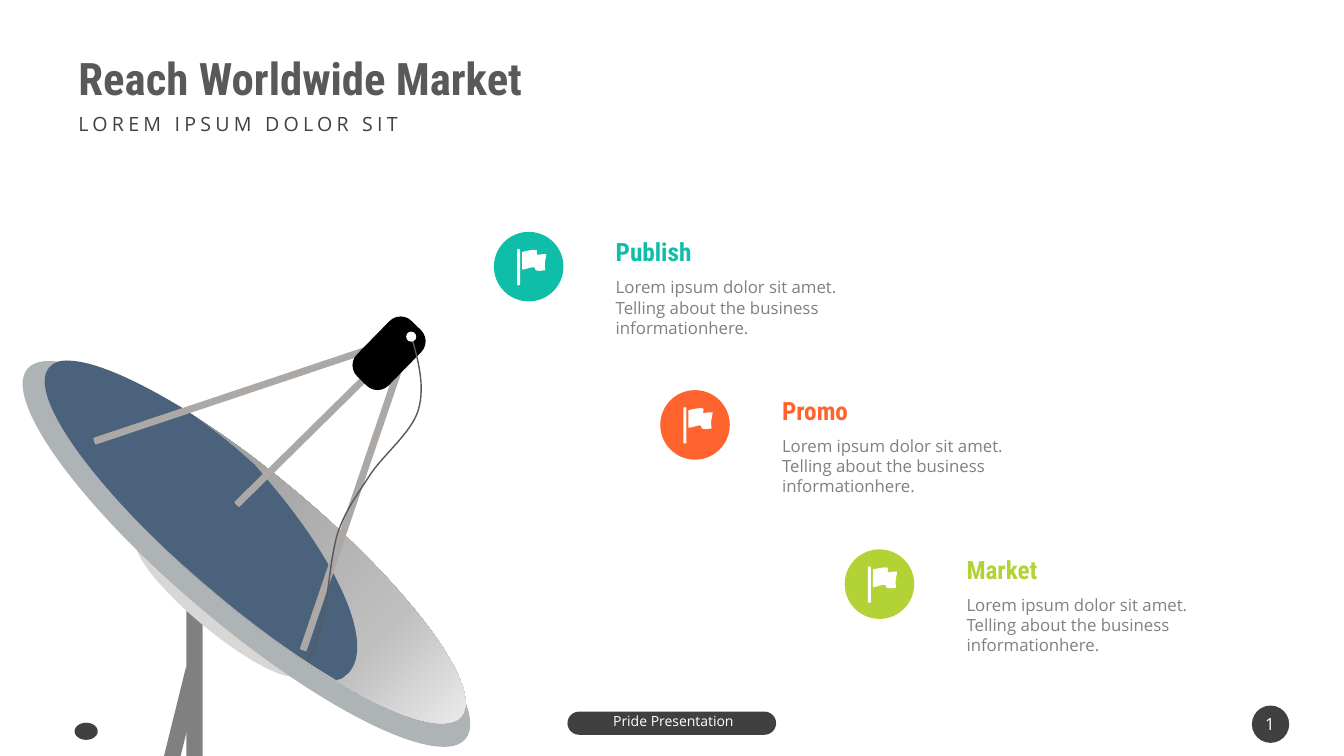
from math import cos, radians, sin

from lxml import etree
from pptx import Presentation
from pptx.dml.color import RGBColor
from pptx.enum.shapes import MSO_SHAPE
from pptx.enum.text import MSO_ANCHOR, PP_ALIGN
from pptx.oxml import parse_xml
from pptx.oxml.ns import nsdecls, qn
from pptx.util import Inches, Pt

OVAL, PILL = MSO_SHAPE.OVAL, MSO_SHAPE.ROUNDED_RECTANGLE
LEFT, CENTER = PP_ALIGN.LEFT, PP_ALIGN.CENTER
TOP, MIDDLE = MSO_ANCHOR.TOP, MSO_ANCHOR.MIDDLE

HEAD_FONT, TEXT_FONT = "Roboto Condensed", "Open Sans"
THEME = {
    "colors": {
        "title": "595959", "dark": "404040", "muted": "808080", "white": "FFFFFF",
        "teal": "0EBEA9", "orange": "FF642E", "lime": "B2D235",
        "bowl": "D8D7D6", "rim": "AEB3B5", "dish": "4B627C", "strut": "ABA8A5",
        "receiver": "000000", "cable": "595959",
    },
    "type": {
        "title": {"name": HEAD_FONT, "size": Pt(32), "bold": True},
        "subtitle": {"name": TEXT_FONT, "size": Pt(14)},
        "heading": {"name": HEAD_FONT, "size": Pt(18), "bold": True},
        "body": {"name": TEXT_FONT, "size": Pt(12)},
        "footer": {"name": TEXT_FONT, "size": Pt(10)},
    },
}
COLORS = {name: RGBColor.from_string(code) for name, code in THEME["colors"].items()}

# The page is a grid of 13 1/3 columns by 7.5 rows
COLUMNS, ROWS = 40 / 3, 7.5
deck = Presentation()
deck.slide_width, deck.slide_height = Inches(COLUMNS), Inches(ROWS)
COLUMN, ROW = deck.slide_width / COLUMNS, deck.slide_height / ROWS
page = deck.slides.add_slide(deck.slide_layouts[6])


def add_preset(kind, place, color, rotation=0, rounding=None):
    """Add a flat preset shape; place is left, top, width, height in grid units."""
    units = (COLUMN, ROW, COLUMN, ROW)
    shape = page.shapes.add_shape(kind, *(round(n * unit) for n, unit in zip(place, units)))
    shape.shadow.inherit = False
    shape.rotation = rotation
    shape.fill.solid()
    shape.fill.fore_color.rgb = COLORS[color]
    shape.line.fill.background()
    if rounding is not None:
        shape.adjustments[0] = rounding
    return shape


def add_outline(start, segments, color, origin=(0, 0), closed=True, tilt=0, pivot=(0, 0)):
    """Add lines (x, y) and cubic curves (six numbers), in a frame tilted about pivot."""
    turn = radians(-tilt)
    runs = []
    for segment in [start, *segments]:
        run = []
        for x, y in zip(segment[::2], segment[1::2]):
            dx, dy = x - pivot[0], y - pivot[1]
            x = pivot[0] + dx * cos(turn) - dy * sin(turn) + origin[0]
            y = pivot[1] + dx * sin(turn) + dy * cos(turn) + origin[1]
            run.append((round(x * COLUMN), round(y * ROW)))
        runs.append(run)
    builder = page.shapes.build_freeform(*runs[0][0])
    builder.add_line_segments([run[-1] for run in runs[1:]], close=closed)
    shape = builder.convert_to_shape()
    lines = list(shape.element.spPr.iter(qn("a:lnTo")))
    for line, run in zip(lines, runs[1:]):
        if len(run) == 3:
            curve = etree.Element(qn("a:cubicBezTo"))
            for x, y in run:
                etree.SubElement(curve, qn("a:pt"), x=str(x - shape.left), y=str(y - shape.top))
            line.getparent().replace(line, curve)
    shape.rotation = tilt
    shape.shadow.inherit = False
    if closed:
        shape.fill.solid()
        shape.fill.fore_color.rgb = COLORS[color]
        shape.line.fill.background()
    else:
        shape.fill.background()
        shape.line.color.rgb = COLORS[color]
        shape.line.width = Pt(1)


# Satellite dish: mast, bowl, rim and shaded inside
TILT = 310.2
add_preset(PILL, (1.85, 6.02, 0.16, 2.97), "muted")
add_preset(OVAL, (1.93, 4.97, 0.48, 2.1), "bowl", 309.6)
add_preset(OVAL, (1.74, 2.65, 1.41, 5.69), "rim", TILT)
inside = add_preset(OVAL, (1.9, 2.73, 1.29, 5.32), "white", TILT)
stops = "".join(f'<a:gs pos="{share * 1000}"><a:srgbClr val="{code}"/></a:gs>'
                for share, code in ((0, "FFFFFF"), (27, "BFBFBF"), (97, "808080")))
shading = parse_xml(
    f'<a:gradFill {nsdecls("a")} rotWithShape="1"><a:gsLst>{stops}</a:gsLst>'
    '<a:path path="circle"><a:fillToRect l="100000" t="100000"/></a:path></a:gradFill>')
properties = inside.element.spPr
properties.replace(properties.find(qn("a:solidFill")), shading)

add_outline((0.69, 3.58), [
    (0.92, 3.59, 1.28, 3.74, 1.72, 4), (1.84, 4.07), (1.91, 4.12),
    (2.08, 4.24, 2.26, 4.38, 2.44, 4.54), (2.52, 4.61), (2.68, 4.8),
    (3.38, 5.63, 3.71, 6.41, 3.45, 6.68), (3.43, 6.7, 3.41, 6.71, 3.39, 6.73),
    (3.33, 6.75), (3.3, 6.73), (2.93, 6.51, 2.51, 6.21, 2.09, 5.85),
    (0.97, 4.91, 0.25, 3.92, 0.48, 3.65), (0.52, 3.6, 0.59, 3.57, 0.69, 3.58),
], "dish", tilt=TILT, pivot=(2.08, 5.04))

# Struts, receiver, cable and leg
for left, top, length, angle in ((0.86, 3.89, 2.86, 341.5), (2.05, 4.25, 2.06, 315.4),
                                 (2.02, 5.04, 2.91, 108.8)):
    add_preset(PILL, (left, top, length, 0.07), "strut", angle)
add_preset(PILL, (3.64, 3.12, 0.44, 0.77), "receiver", 44.4, 0.35)
add_outline((4.08, 3.33), [
    (4.15, 3.58, 4.22, 3.83, 4.15, 4.07), (4.08, 4.3, 3.79, 4.52, 3.66, 4.73),
    (3.53, 4.93, 3.43, 5.06, 3.35, 5.29), (3.28, 5.52, 3.26, 5.89, 3.21, 6.1),
    (3.16, 6.31, 3.11, 6.44, 3.05, 6.56),
], "cable", closed=False)
add_preset(PILL, (1.49, 6.58, 0.16, 2.97), "muted", 13.9)
add_preset(OVAL, (4.03, 3.29, 0.1, 0.1), "white")

# Text: words, place, style, color, alignment, anchor
labels = [
    ("Reach Worldwide Market", (0.68, 0.59, 5.22, 0.42), "title", "title", LEFT, MIDDLE),
    ("LOREM IPSUM DOLOR SIT", (0.68, 1.09, 5.22, 0.34), "subtitle", "dark", LEFT, TOP),
    ("1", (12.4, 7.03, 0.4, 0.3), "body", "white", CENTER, TOP),
    ("Pride Presentation", (5.74, 7, 1.88, 0.31), "footer", "white", CENTER, MIDDLE),
]

# Three steps, each a flag badge with a heading and a blurb
BLURB = "Lorem ipsum dolor sit amet. Telling about the business informationhere."
BADGE, TEXT_SHIFT, TEXT_WIDTH, HEADING_HEIGHT = 0.69, 1.11, 2.59, 0.4
FLAG = [
    (0.52, 0.22, 0.46, 0.22, 0.43, 0.23), (0.42, 0.23, 0.43, 0.2, 0.43, 0.19),
    (0.43, 0.16, 0.28, 0.2, 0.28, 0.2), (0.28, 0.37), (0.28, 0.37, 0.29, 0.38, 0.31, 0.37),
    (0.35, 0.36, 0.42, 0.33, 0.41, 0.37), (0.4, 0.4, 0.51, 0.38, 0.51, 0.38),
    (0.51, 0.38, 0.5, 0.31, 0.51, 0.28), (0.52, 0.24, 0.52, 0.22, 0.52, 0.22),
]
POLE = [(0.26, 0.17, 0.26, 0.17, 0.25, 0.17), (0.24, 0.17, 0.23, 0.17, 0.23, 0.18),
        (0.23, 0.53), (0.26, 0.53), (0.26, 0.18)]
for heading, left, top, color in (("Publish", 4.9, 2.3, "teal"),
                                  ("Promo", 6.55, 3.87, "orange"),
                                  ("Market", 8.38, 5.45, "lime")):
    add_preset(OVAL, (left, top, BADGE, BADGE), color)
    add_outline((0.52, 0.22), FLAG, "white", (left, top))
    add_outline((0.26, 0.18), POLE, "white", (left, top))
    text_left = left + TEXT_SHIFT
    labels += [
        (heading, (text_left, top, TEXT_WIDTH, HEADING_HEIGHT), "heading", color, LEFT, TOP),
        (BLURB, (text_left, top + HEADING_HEIGHT, TEXT_WIDTH, 0.71), "body", "muted", LEFT, TOP),
    ]

# Footer: plain emblem, name pill and page number badge
add_preset(OVAL, (0.74, 7.17, 0.23, 0.17), "dark")
add_preset(PILL, (5.63, 7.06, 2.07, 0.23), "dark", rounding=0.5)
add_preset(OVAL, (12.42, 7, 0.37, 0.37), "dark")

for words, (left, top, width, height), style, color, alignment, anchor in labels:
    box = page.shapes.add_textbox(round(left * COLUMN), round(top * ROW),
                                  round(width * COLUMN), round(height * ROW))
    box.text_frame.word_wrap = True
    box.text_frame.vertical_anchor = anchor
    para = box.text_frame.paragraphs[0]
    para.alignment = alignment
    span = para.add_run()
    span.text = words
    for name, value in THEME["type"][style].items():
        setattr(span.font, name, value)
    span.font.color.rgb = COLORS[color]
    if style in ("title", "subtitle"):
        para.line_spacing = 0.9
    if style == "subtitle":
        span.font._element.set("spc", "300")

deck.save("out.pptx")
